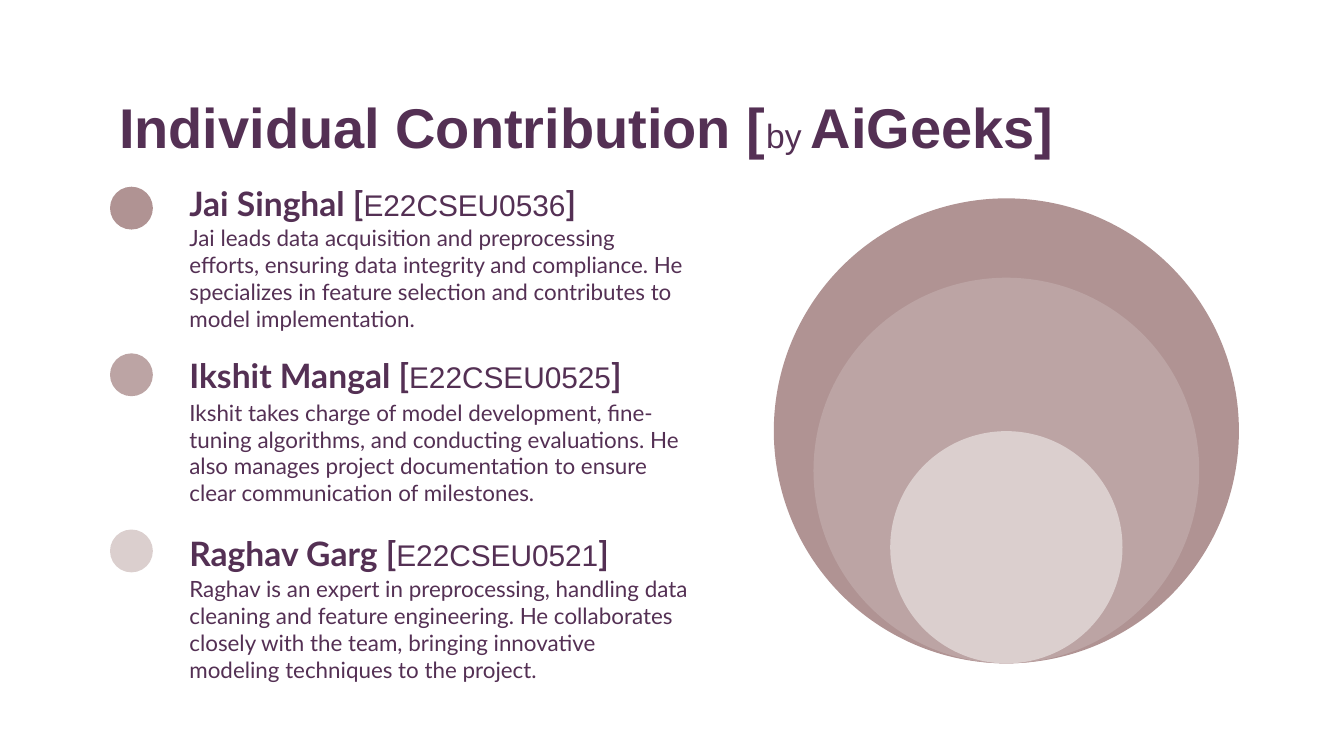
from typing import NamedTuple

from pptx import Presentation
from pptx.dml.color import RGBColor
from pptx.enum.shapes import MSO_SHAPE
from pptx.enum.text import MSO_ANCHOR, MSO_AUTO_SIZE, PP_ALIGN
from pptx.util import Cm, Pt

OVAL = MSO_SHAPE.OVAL
TOP, BOTTOM = MSO_ANCHOR.TOP, MSO_ANCHOR.BOTTOM
LEFT = PP_ALIGN.LEFT
NO_FIT = MSO_AUTO_SIZE.NONE

PLUM = RGBColor(0x54, 0x30, 0x54)
ROSE = RGBColor(0xB0, 0x93, 0x93)
MAUVE = RGBColor(0xBC, 0xA4, 0xA4)
BLUSH = RGBColor(0xDB, 0xCF, 0xCE)

# All lengths are in centimetres
DOT_LEFT, DOT_SIZE = 2.08, 0.81
TEXT_LEFT, TEXT_WIDTH = 3.33, 9.96
RING_MID, RING_BASE = 19.02, 12.54


class Member(NamedTuple):
    name: str
    code: str
    role: str
    color: RGBColor
    dot_top: float
    head_top: float
    role_top: float
    role_height: float
    ring_size: float


class Part(NamedTuple):
    text: str
    size: int
    bold: bool
    font: str


MEMBERS = [
    Member("Jai Singhal", "E22CSEU0536",
           "Jai leads data acquisition and preprocessing efforts, ensuring data "
           "integrity and compliance. He specializes in feature selection and "
           "contributes to model implementation.",
           ROSE, 3.53, 3.3, 3.99, 2.51, 8.79),
    Member("Ikshit Mangal", "E22CSEU0525",
           "Ikshit takes charge of model development, fine-tuning algorithms, and "
           "conducting evaluations. He also manages project documentation to "
           "ensure clear communication of milestones.",
           MAUVE, 6.68, 6.55, 7.29, 2.72, 7.29),
    Member("Raghav Garg", "E22CSEU0521",
           "Raghav is an expert in preprocessing, handling data cleaning and "
           "feature engineering. He collaborates closely with the team, bringing "
           "innovative modeling techniques to the project.",
           BLUSH, 10.01, 9.91, 10.62, 2.54, 4.39),
]


def fill_text(shape, parts: list[Part], anchor=TOP) -> None:
    frame = shape.text_frame
    frame.word_wrap = True
    frame.auto_size = NO_FIT
    frame.vertical_anchor = anchor
    frame.margin_left = frame.margin_right = Cm(0.25)
    frame.margin_top = frame.margin_bottom = Cm(0.25)
    para = frame.paragraphs[0]
    para.alignment = LEFT
    para.font.color.rgb = PLUM
    for part in parts:
        run = para.add_run()
        run.text = part.text
        run.font.size = Pt(part.size)
        run.font.bold = part.bold
        run.font.name = part.font
        run.font.color.rgb = PLUM


def add_text(slide, top: float, height: float, parts: list[Part], anchor=TOP) -> None:
    box = slide.shapes.add_textbox(Cm(TEXT_LEFT), Cm(top), Cm(TEXT_WIDTH), Cm(height))
    fill_text(box, parts, anchor)


def add_disc(slide, left: float, top: float, size: float, color: RGBColor) -> None:
    disc = slide.shapes.add_shape(OVAL, Cm(left), Cm(top), Cm(size), Cm(size))
    disc.shadow.inherit = False
    disc.fill.solid()
    disc.fill.fore_color.rgb = color
    disc.line.fill.background()


def add_member(slide, who: Member) -> None:
    add_disc(slide, DOT_LEFT, who.dot_top, DOT_SIZE, who.color)
    add_text(slide, who.head_top, 1.17, [
        Part(f"{who.name} [", 18, True, "Lato"),
        Part(who.code, 16, False, "Arial"),
        Part("]", 18, True, "Lato"),
    ], BOTTOM)
    add_text(slide, who.role_top, who.role_height,
             [Part(who.role, 12, False, "Lato")])


def main() -> None:
    deck = Presentation()
    deck.slide_width, deck.slide_height = Cm(25.4), Cm(14.29)
    slide = deck.slides.add_slide(deck.slide_layouts[5])

    # Title
    title = slide.shapes.title
    title.left, title.top = Cm(2), Cm(1.5)
    title.width, title.height = Cm(21.41), Cm(1.6)
    fill_text(title, [
        Part("Individual Contribution [", 30, True, "Arial"),
        Part("by ", 18, False, "Arial"),
        Part("AiGeeks]", 30, True, "Arial"),
    ])

    # Team list
    for who in MEMBERS:
        add_member(slide, who)

    # Nested circles resting on one base point
    for who in MEMBERS:
        size = who.ring_size
        add_disc(slide, RING_MID - size / 2, RING_BASE - size, size, who.color)

    deck.save("out.pptx")


if __name__ == "__main__":
    main()
